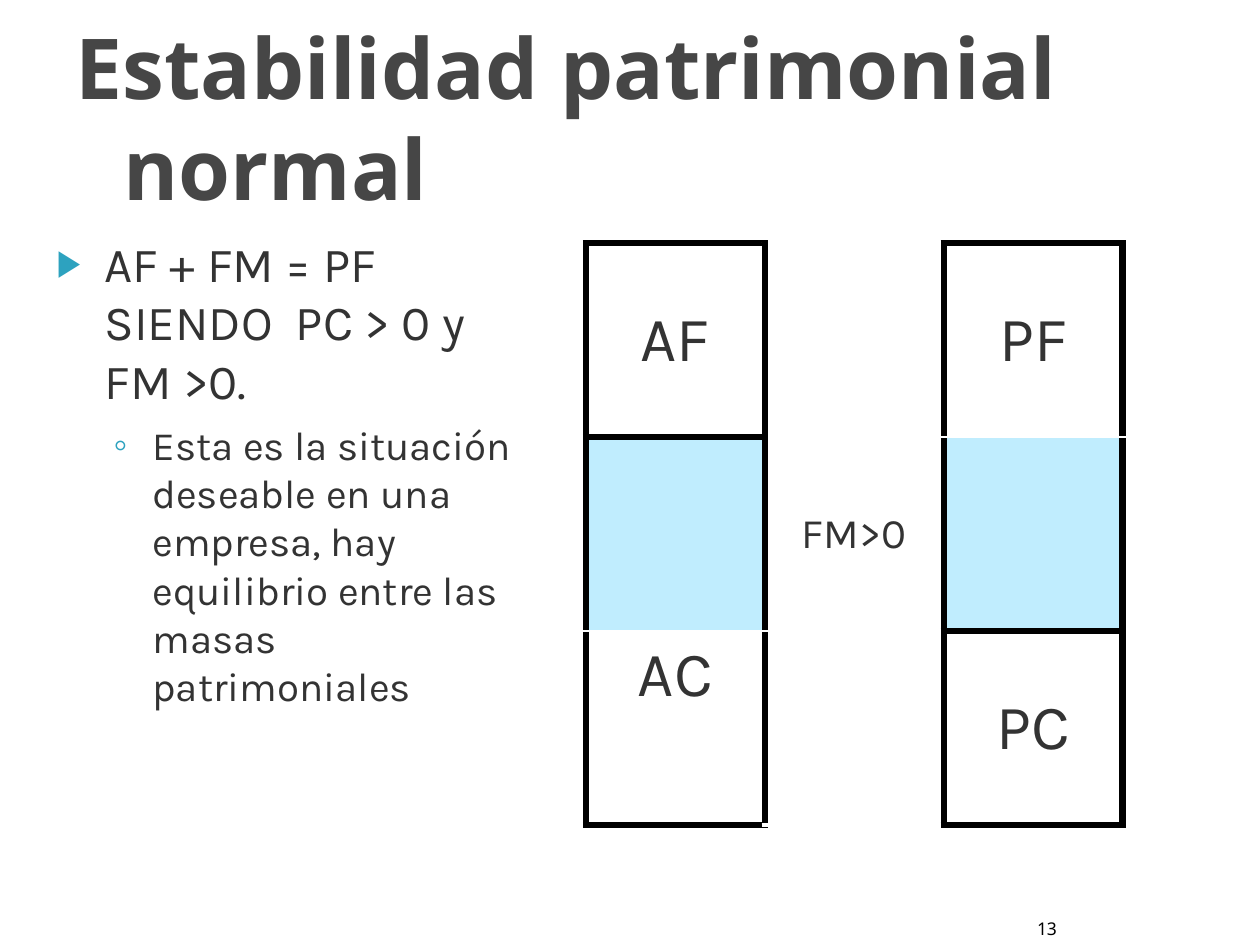
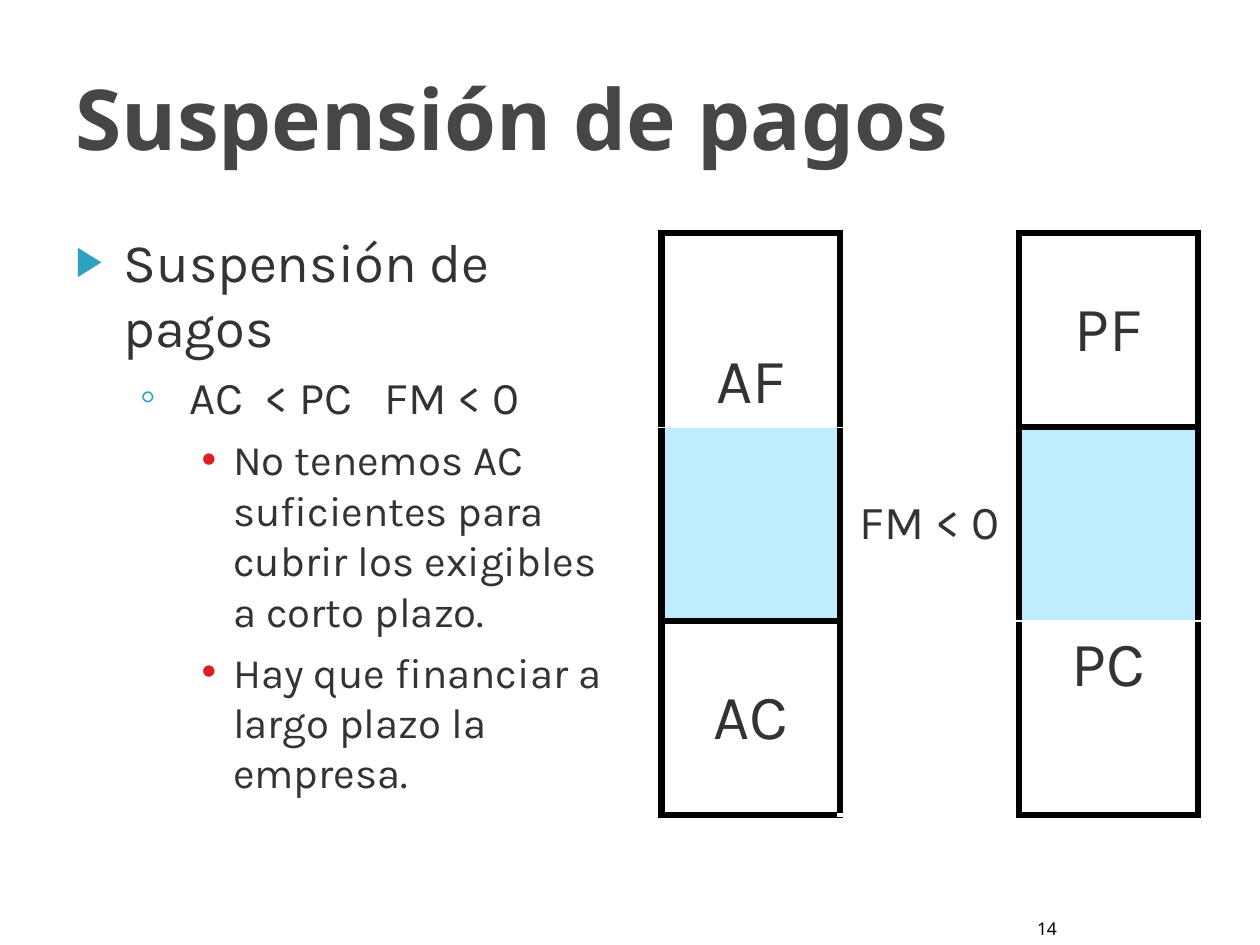
from dataclasses import dataclass

from lxml.etree import SubElement
from pptx import Presentation
from pptx.dml.color import RGBColor
from pptx.enum.text import MSO_ANCHOR as Anchor, MSO_AUTO_SIZE as AutoSize, PP_ALIGN as Align
from pptx.oxml.ns import qn
from pptx.util import Pt

EMU_PER_PX = 9144  # 100 px to the inch


@dataclass(frozen=True)
class Theme:
    heading_font: str = "Noto Sans"
    body_font: str = "Karla"
    title: str = "464646"
    text: str = "333333"
    black: str = "000000"
    white: str = "FFFFFF"
    accent: str = "2DA2BF"
    red: str = "DA1F28"
    working_capital: str = "C0EDFE"
    title_size: int = 48
    mass_size: int = 36
    number_size: int = 10
    border: float = 4
    seam: float = 1


@dataclass(frozen=True)
class Bullet:
    character: str
    color: str
    hanging: int
    size_percent: int = 100
    space_before: int = 6


@dataclass(frozen=True)
class Stack:
    """Two balance masses with working capital between them.

    The seam is the row edge (1 or 2) where working capital joins its mass.
    """
    top: str
    bottom: str
    seam: int
    top_anchor: Anchor = Anchor.MIDDLE
    bottom_anchor: Anchor = Anchor.MIDDLE
    seam_width: float = 1


THEME = Theme()
BULLETS = (
    Bullet("▶", THEME.accent, 38, size_percent=75, space_before=0),
    Bullet("◦", THEME.accent, 31),
    Bullet("•", THEME.red, 25),
)
BLACK_EDGE = (THEME.black, THEME.border)
COLUMN_WIDTH, ROW_HEIGHT = 142, 154
PADDING = 6


def px(length):
    return round(length * EMU_PER_PX)


def place(shape, left, top, width, height):
    shape.left, shape.top = px(left), px(top)
    shape.width, shape.height = px(width), px(height)


def set_margins(target, left=PADDING, top=PADDING, right=PADDING, bottom=PADDING):
    target.margin_left, target.margin_top = px(left), px(top)
    target.margin_right, target.margin_bottom = px(right), px(bottom)


def write(paragraph, text, *, size, font=THEME.body_font, color=THEME.text,
          bold=False, align=Align.LEFT):
    run = paragraph.add_run()
    run.text = text
    run.font.name = font
    run.font.size = Pt(size)
    run.font.bold = bold
    run.font.color.rgb = RGBColor.from_string(color)
    paragraph.alignment = align


def indent(paragraph, left, hanging):
    properties = paragraph._p.get_or_add_pPr()
    properties.set("marL", str(px(left)))
    properties.set("indent", str(-px(hanging)))
    return properties


def add_bullet(paragraph, bullet, left, hanging):
    paragraph.space_before = Pt(bullet.space_before)
    properties = indent(paragraph, left, hanging)
    color = SubElement(properties, qn("a:buClr"))
    SubElement(color, qn("a:srgbClr"), val=bullet.color)
    SubElement(properties, qn("a:buSzPct"), val=str(bullet.size_percent * 1000))
    SubElement(properties, qn("a:buChar"), char=bullet.character)


def prepare_placeholder(placeholder, box, anchor):
    place(placeholder, *box)
    frame = placeholder.text_frame
    frame.auto_size = AutoSize.NONE
    frame.vertical_anchor = anchor
    set_margins(frame, right=14)
    return frame


def set_title(slide, text):
    frame = prepare_placeholder(slide.shapes.title, (50, 10, 900, 165), Anchor.MIDDLE)
    paragraph = frame.paragraphs[0]
    write(paragraph, text, size=THEME.title_size, font=THEME.heading_font,
          color=THEME.title, bold=True)
    indent(paragraph, 42, 38)


def set_body(slide, box, items):
    """Fill the body with items of (level, size, left indent, text[, hanging])."""
    frame = prepare_placeholder(slide.placeholders[1], box, Anchor.TOP)
    for index, (level, size, left, text, *hanging) in enumerate(items):
        paragraph = frame.add_paragraph() if index else frame.paragraphs[0]
        paragraph.level = level
        write(paragraph, text, size=size)
        bullet = BULLETS[level]
        add_bullet(paragraph, bullet, left, hanging[0] if hanging else bullet.hanging)


def add_slide_number(slide, number):
    box = slide.shapes.add_textbox(px(816), px(722), px(30), px(28))
    frame = box.text_frame
    frame.word_wrap = False
    frame.vertical_anchor = Anchor.BOTTOM
    set_margins(frame, left=0, top=5, right=0, bottom=5)
    write(frame.paragraphs[0], str(number), size=THEME.number_size,
          font=THEME.heading_font, color=THEME.black, align=Align.CENTER)


def set_borders(cell, top, bottom):
    properties = cell._tc.get_or_add_tcPr()
    edges = {"L": BLACK_EDGE, "R": BLACK_EDGE, "T": top, "B": bottom}
    for side, (color, width) in edges.items():
        line = SubElement(properties, qn(f"a:ln{side}"), w=str(Pt(width)))
        fill = SubElement(line, qn("a:solidFill"))
        SubElement(fill, qn("a:srgbClr"), val=color)


def format_cell(cell, top, bottom, text="", size=THEME.mass_size,
                anchor=Anchor.MIDDLE, fill=None):
    set_borders(cell, top, bottom)
    if fill:
        cell.fill.solid()
        cell.fill.fore_color.rgb = RGBColor.from_string(fill)
    else:
        cell.fill.background()
    set_margins(cell)
    cell.vertical_anchor = anchor
    if text:
        write(cell.text_frame.paragraphs[0], text, size=size, align=Align.CENTER)


def fill_stack(table, column, stack):
    edges = [BLACK_EDGE] * 4
    edges[stack.seam] = (THEME.white, stack.seam_width)
    contents = (
        {"text": stack.top, "anchor": stack.top_anchor},
        {"fill": THEME.working_capital},
        {"text": stack.bottom, "anchor": stack.bottom_anchor},
    )
    for row, content in enumerate(contents):
        format_cell(table.cell(row, column), edges[row], edges[row + 1], **content)


def add_balance(slide, left, top, assets, liabilities, label, label_size):
    frame = slide.shapes.add_table(3, 3, px(left), px(top),
                                   px(3 * COLUMN_WIDTH), px(3 * ROW_HEIGHT))
    table = frame.table
    table.first_row = table.horz_banding = False
    for column in table.columns:
        column.width = px(COLUMN_WIDTH)
    for row in table.rows:
        row.height = px(ROW_HEIGHT)
    fill_stack(table, 0, assets)
    fill_stack(table, 2, liabilities)
    top_edge, bottom_edge = (THEME.white, THEME.seam), (THEME.white, 2.25)
    for row, text in enumerate((label, "", "")):
        format_cell(table.cell(row, 1), top_edge, bottom_edge, text, label_size)
    table.cell(0, 1).merge(table.cell(2, 1))


def add_slide(presentation, number, title, body_box, items):
    slide = presentation.slides.add_slide(presentation.slide_layouts[1])
    set_title(slide, title)
    set_body(slide, body_box, items)
    add_slide_number(slide, number)
    return slide


def main():
    presentation = Presentation()
    presentation.slide_width, presentation.slide_height = px(1000), px(750)

    stable = add_slide(
        presentation, 13, "Estabilidad patrimonial normal", (35, 179, 410, 575),
        [(0, 28, 42, "AF + FM = PF  SIENDO  PC > 0 y FM >0."),
         (1, 23, 80, "Esta es la situación deseable en una empresa, hay "
                     "equilibrio entre las masas patrimoniales")])
    add_balance(stable, 465, 193,
                Stack("AF", "AC", seam=2, bottom_anchor=Anchor.TOP),
                Stack("PF", "PC", seam=1), "FM>0", 24)

    suspension = add_slide(
        presentation, 14, "Suspensión de pagos", (50, 175, 442, 491),
        [(0, 31, 42, "Suspensión de pagos"),
         (1, 26, 94, "AC  < PC   FM < 0", 39),
         (2, 24, 129, "No tenemos AC suficientes para cubrir los exigibles "
                      "a corto plazo."),
         (2, 24, 129, "Hay que financiar a largo plazo la empresa.")])
    add_balance(suspension, 525, 185,
                Stack("AF", "AC", seam=1, top_anchor=Anchor.BOTTOM, seam_width=0.25),
                Stack("PF", "PC", seam=2, bottom_anchor=Anchor.TOP), "FM < 0", 27)

    presentation.save("out.pptx")


if __name__ == "__main__":
    main()
